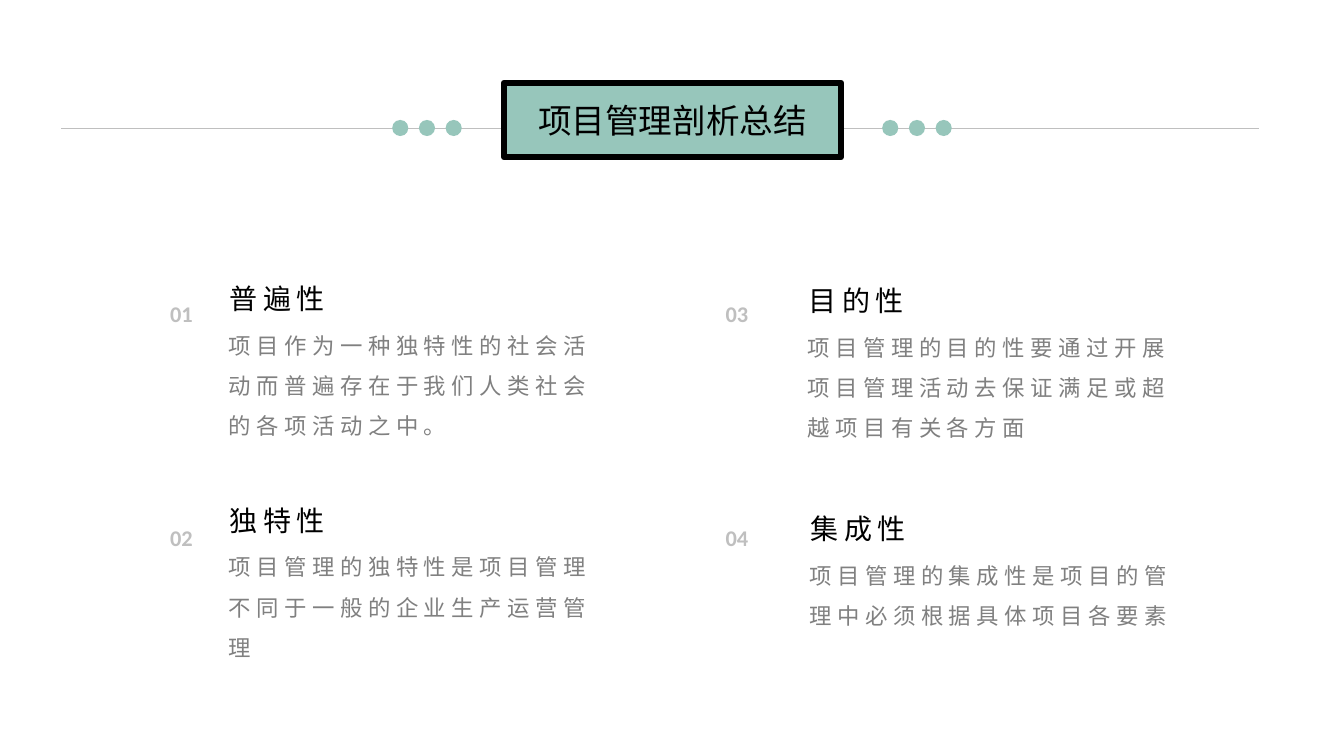
from dataclasses import dataclass

from lxml import etree
from pptx import Presentation
from pptx import util as u
from pptx.dml.color import RGBColor
from pptx.enum import shapes, text
from pptx.oxml import ns


@dataclass(frozen=True)
class Theme:
    """Colours, fonts and type sizes of the slide."""
    mint: str = "97C6BB"
    ink: str = "000000"
    body: str = "808080"
    pale: str = "BFBFBF"
    cjk: str = "Noto Sans CJK JP"
    latin: str = "Calibri"
    title_size: int = 24
    heading_size: int = 20
    body_size: int = 16


T = Theme()
TITLE = "项目管理剖析总结"
TRAITS = [
    ("普遍性", "项目作为一种独特性的社会活动而普遍存在于我们人类社会的各项活动之中。", 2.17, 2.58, 1.27),
    ("独特性", "项目管理的独特性是项目管理不同于一般的企业生产运营管理", 2.17, 4.78, 1.27),
    ("目的性", "项目管理的目的性要通过开展项目管理活动去保证满足或超越项目有关各方面", 7.91, 2.6, 1.27),
    ("集成性", "项目管理的集成性是项目的管理中必须根据具体项目各要素", 7.93, 4.86, 0.87),
]


def inches(*lengths):
    """Turn numbers into lengths in inches."""
    return [u.Inches(n) for n in lengths]


def write(sp, words, size, color, font, spacing=0, bold=False):
    """Put one formatted paragraph into a shape and return it."""
    p = sp.text_frame.paragraphs[0]
    p.text = words
    f = p.font
    f.size, f.bold, f.name = u.Pt(size), bold, font
    f.color.rgb = RGBColor.from_string(color)
    props = p._p.pPr.find(ns.qn("a:defRPr"))
    etree.SubElement(props, ns.qn("a:ea"), typeface=font)
    if spacing:
        props.set("spc", str(spacing * 100))
    return p


def add_rule(s, left, right, y):
    """Draw the thin rule behind everything else."""
    line = s.shapes.add_connector(shapes.MSO_CONNECTOR.STRAIGHT, *inches(left, y, right, y))
    line.line.color.rgb = RGBColor.from_string(T.pale)
    line.line.width = u.Pt(0.25)
    sp_pr = line._element.spPr
    etree.SubElement(sp_pr, ns.qn("a:effectLst"))
    s.shapes._spTree.insert(2, line._element)


def add_title(s, left, top, width, height):
    """Shape the title placeholder as an outlined pill."""
    sp = s.shapes.title
    sp.left, sp.top, sp.width, sp.height = inches(left, top, width, height)
    geom = etree.SubElement(sp._element.spPr, ns.qn("a:prstGeom"), prst="roundRect")
    guides = etree.SubElement(geom, ns.qn("a:avLst"))
    etree.SubElement(guides, ns.qn("a:gd"), name="adj", fmla="val 50000")
    sp.fill.solid()
    sp.fill.fore_color.rgb = RGBColor.from_string(T.mint)
    sp.line.color.rgb = RGBColor.from_string(T.ink)
    sp.line.width = u.Pt(4.5)
    tf = sp.text_frame
    tf.auto_size = text.MSO_AUTO_SIZE.NONE
    tf.vertical_anchor = text.MSO_ANCHOR.MIDDLE
    p = write(sp, TITLE, T.title_size, T.ink, T.cjk)
    p.alignment = text.PP_ALIGN.CENTER


def add_dots(s, left, top, size=0.16, pitch=0.265, count=3):
    """Place a group of evenly spaced dots."""
    group = s.shapes.add_group_shape()
    for i in range(count):
        dot = group.shapes.add_shape(
            shapes.MSO_SHAPE.OVAL, *inches(left + i * pitch, top, size, size))
        dot.shadow.inherit = False
        dot.fill.solid()
        dot.fill.fore_color.rgb = RGBColor.from_string(T.mint)
        dot.line.fill.background()


def add_number(s, number, left, top):
    """Place a pale two-digit number."""
    sp = s.shapes.add_textbox(*inches(left, top, 0.46, 0.43))
    sp.text_frame.word_wrap = True
    sp.text_frame.vertical_anchor = text.MSO_ANCHOR.MIDDLE
    p = write(sp, f"{number:02d}", T.body_size, T.pale, T.latin, bold=True)
    p.alignment = text.PP_ALIGN.CENTER


def add_trait(s, heading, body, left, top, body_height):
    """Place a heading with its description below."""
    parts = [
        (heading, T.heading_size, T.ink, (left + 0.01, top, 1.39, 0.55)),
        (body, T.body_size, T.body, (left, top + 0.53, 3.98, body_height)),
    ]
    for words, size, color, box in parts:
        sp = s.shapes.add_textbox(*inches(*box))
        sp.text_frame.word_wrap = True
        sp.text_frame.auto_size = text.MSO_AUTO_SIZE.SHAPE_TO_FIT_TEXT
        p = write(sp, words, size, color, T.cjk, spacing=4)
        p.line_spacing = 1.5


def main():
    """Build and save the summary slide."""
    prs = Presentation()
    prs.slide_width, prs.slide_height = inches(13.33, 7.5)
    s = prs.slides.add_slide(prs.slide_layouts[5])
    add_rule(s, 0.61, 12.49, 1.27)
    add_title(s, 5, 0.82, 3.34, 0.74)
    for left in (3.89, 8.75):
        add_dots(s, left, 1.19)
    for i, trait in enumerate(TRAITS):
        column, row = divmod(i, 2)
        add_number(s, i + 1, 1.57 + column * 5.51, 2.9 + row * 2.22)
        add_trait(s, *trait)
    prs.save("out.pptx")


if __name__ == "__main__":
    main()
